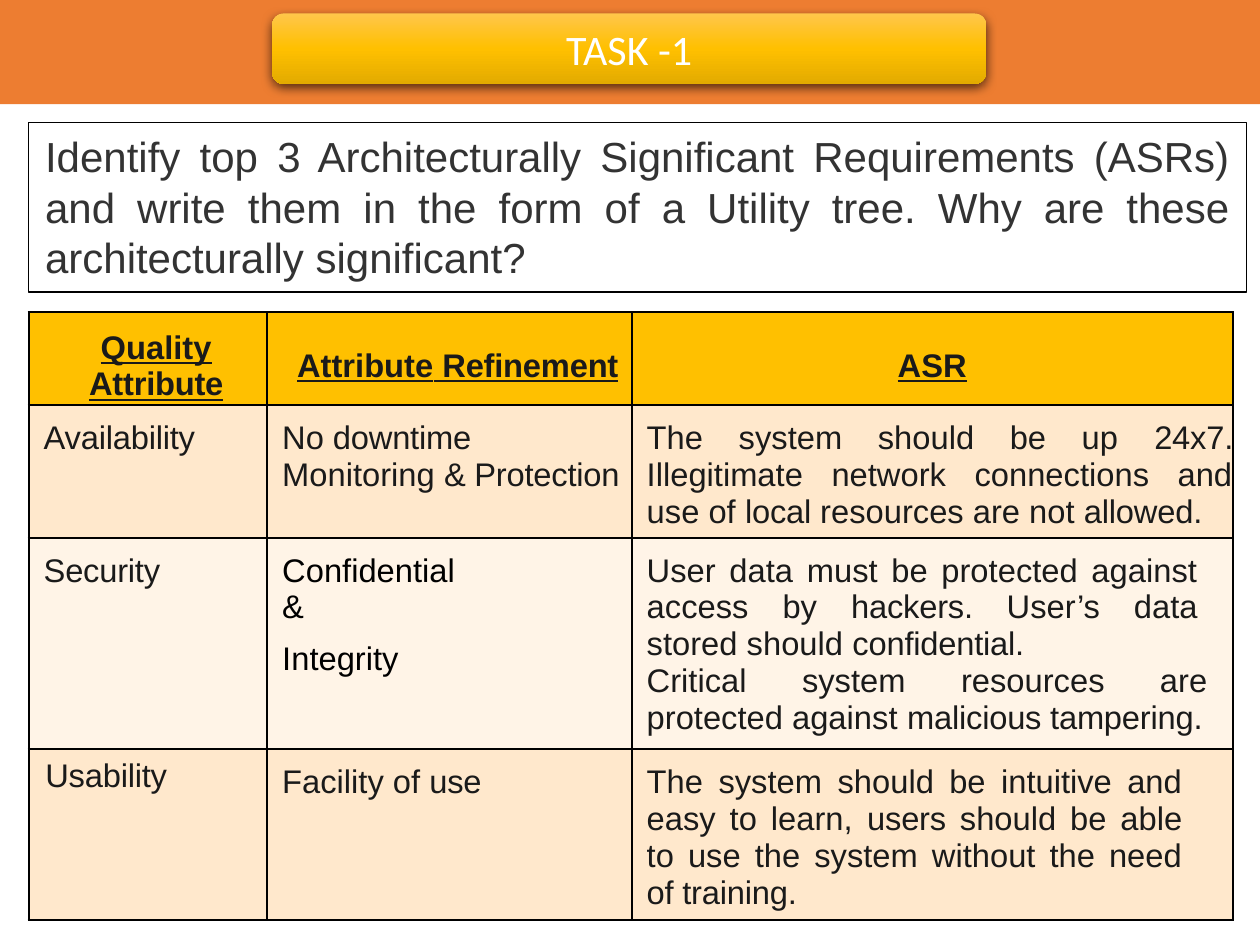
from pptx import Presentation
from pptx.dml.color import RGBColor
from pptx.enum.shapes import MSO_SHAPE
from pptx.enum.text import MSO_ANCHOR, PP_ALIGN
from pptx.oxml import parse_xml
from pptx.oxml.ns import nsdecls
from pptx.util import Inches, Pt

INK = "1A1A1A"
HEADER = "FFC000"
PEACH = "FFE8CC"
CREAM = "FFF4E7"
PAGE_WIDTH = 7.5
COLUMNS = [1.42, 2.17, 3.58]
ROWS = [0.55, 0.79, 1.26, 1.02]
HEADINGS = ["Quality| Attribute", "Attribute| Refinement", "ASR"]
TEXT_INDENT = 0.09

REQUIREMENTS = [
    (PEACH, [
        [("|Availability", {})],
        [("No| downtime", {}), ("Monitoring| & Protection", {})],
        [("The system should be up |24x7. |Illegitimate network connections "
          "and use of |local |resources are not| allowed.", {})],
    ]),
    (CREAM, [
        [("|Security", {})],
        [("Confidential &", {"color": "000000", "right": 0.95}),
         ("Integrity", {"color": "000000", "before": 6.2})],
        [("User data must be protected against access by |hackers. |"
          "User’s data stored should |confidential.", {"right": 0.21}),
         ("Critical system resources are protected against |"
          "malicious tampering.", {"right": 0.15})],
    ]),
    (PEACH, [
        [("|Usability", {})],
        [("Facility of| use", {})],
        [("The system should be intuitive and easy to learn, |users |"
          "should be able to use the system without the need |of training.",
          {"right": 0.3})],
    ]),
]


def rgb(value):
    return RGBColor.from_string(value)


def write(para, text, size=14, font="Arial", color=INK, bold=False,
          underline=False, align=PP_ALIGN.JUSTIFY, left=0, right=0, before=0):
    para.alignment = align
    para.space_before = Pt(before)
    properties = para._p.get_or_add_pPr()
    properties.set("marL", str(Inches(left)))
    properties.set("marR", str(Inches(right)))
    properties.set("indent", "0")
    for index, part in enumerate(text.split("|")):
        if not part:
            continue
        span = para.add_run()
        span.text = part
        span.font.size = Pt(size)
        span.font.name = font
        span.font.color.rgb = rgb(color)
        span.font.bold = bold
        span.font.underline = underline
        if index % 2:
            span.font._element.set("spc", "-10")


def add_box(page, kind, left, top, width, height, fill=None, line=None):
    box = page.shapes.add_shape(
        kind, Inches(left), Inches(top), Inches(width), Inches(height))
    box.shadow.inherit = False
    if fill:
        box.fill.solid()
        box.fill.fore_color.rgb = rgb(fill)
    else:
        box.fill.background()
    if line:
        box.line.color.rgb = rgb(line)
        box.line.width = Pt(0.75)
    else:
        box.line.fill.background()
    box.text_frame.word_wrap = True
    return box


def add_gradient(box, stops):
    box.fill.gradient()
    box.fill.gradient_angle = 270
    stop_list = box._element.spPr.find(".//{*}gsLst")
    for stop in list(stop_list):
        stop_list.remove(stop)
    for position, color in stops:
        stop_list.append(parse_xml(
            f'<a:gs {nsdecls("a")} pos="{position * 1000}">'
            f'<a:srgbClr val="{color}"/></a:gs>'))


def add_shadow(box):
    box._element.spPr.find("{*}effectLst").append(parse_xml(
        f'<a:outerShdw {nsdecls("a")} blurRad="{Pt(4.5)}" dist="{Pt(1.5)}" '
        'dir="5400000" algn="ctr" rotWithShape="0"><a:srgbClr val="000000">'
        '<a:alpha val="63000"/></a:srgbClr></a:outerShdw>'))


def format_cell(cell, fill, top=TEXT_INDENT, anchor=MSO_ANCHOR.TOP):
    cell.margin_left = cell.margin_right = cell.margin_bottom = 0
    cell.margin_top = Inches(top)
    cell.vertical_anchor = anchor
    cell.fill.solid()
    cell.fill.fore_color.rgb = rgb(fill)
    properties = cell._tc.get_or_add_tcPr()
    for index, side in enumerate("LRTB"):
        properties.insert(index, parse_xml(
            f'<a:ln{side} {nsdecls("a")} w="{Pt(1)}"><a:solidFill>'
            f'<a:srgbClr val="000000"/></a:solidFill></a:ln{side}>'))


def add_requirements_table(page):
    table = page.shapes.add_table(
        len(ROWS), len(COLUMNS), Inches(0.17), Inches(1.86),
        Inches(sum(COLUMNS)), Inches(sum(ROWS))).table
    table.first_row = table.horz_banding = False
    for column, width in zip(table.columns, COLUMNS):
        column.width = Inches(width)
    for row, height in zip(table.rows, ROWS):
        row.height = Inches(height)
    for column, heading in enumerate(HEADINGS):
        cell = table.cell(0, column)
        format_cell(cell, HEADER, anchor=MSO_ANCHOR.MIDDLE)
        write(cell.text_frame.paragraphs[0], heading, bold=True,
              underline=True, align=PP_ALIGN.CENTER,
              left=0 if heading == "ASR" else 0.1)
    for row, (fill, entries) in enumerate(REQUIREMENTS, 1):
        for column, entry in enumerate(entries):
            cell = table.cell(row, column)
            is_usability = entry[0][0] == "|Usability"
            format_cell(cell, fill, top=0.05 if is_usability else TEXT_INDENT)
            frame = cell.text_frame
            for index, (text, style) in enumerate(entry):
                para = frame.add_paragraph() if index else frame.paragraphs[0]
                write(para, text, left=0.1 if is_usability else TEXT_INDENT,
                      **style)


def main():
    deck = Presentation()
    deck.slide_width = Inches(PAGE_WIDTH)
    deck.slide_height = Inches(PAGE_WIDTH * 3 / 4)
    page = deck.slides.add_slide(deck.slide_layouts[6])

    add_box(page, MSO_SHAPE.RECTANGLE, 0, 0, PAGE_WIDTH, 0.62, fill="ED7D31")
    question = add_box(page, MSO_SHAPE.RECTANGLE, 0.17, 0.73, 7.25, 1.01,
                       line="000000")
    question.text_frame.vertical_anchor = MSO_ANCHOR.TOP
    write(question.text_frame.paragraphs[0],
          "Identify top 3 Architecturally Significant Requirements (ASRs) and "
          "write them in the form of a Utility tree. Why are these "
          "architecturally significant?", size=18, color="333333")
    title = add_box(page, MSO_SHAPE.ROUNDED_RECTANGLE, 1.62, 0.08, 4.25, 0.42)
    add_gradient(title, [(0, "FFC64B"), (50, "FFC000"), (100, "E3AB00")])
    add_shadow(title)
    title.text_frame.vertical_anchor = MSO_ANCHOR.MIDDLE
    write(title.text_frame.paragraphs[0], "TASK -1", size=18, font="Calibri",
          color="FFFFFF", align=PP_ALIGN.CENTER)
    add_requirements_table(page)
    deck.save("out.pptx")


if __name__ == "__main__":
    main()
